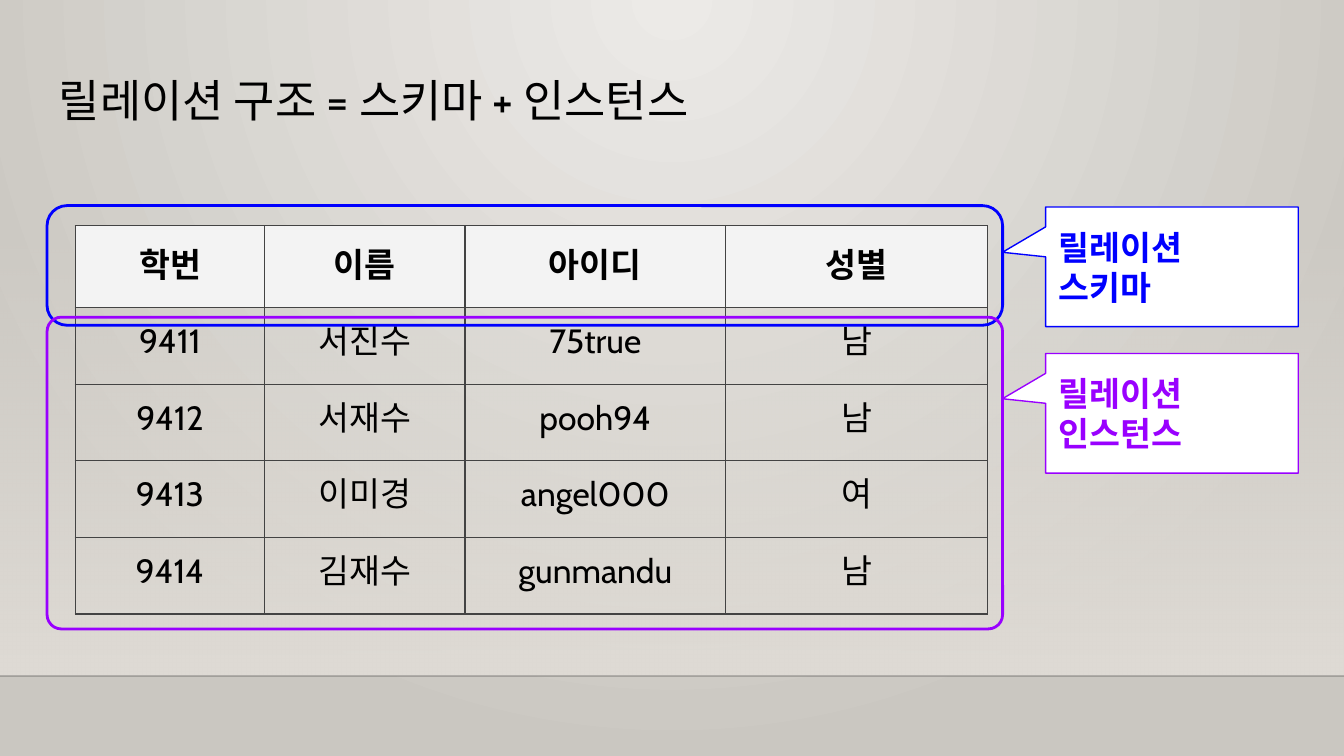
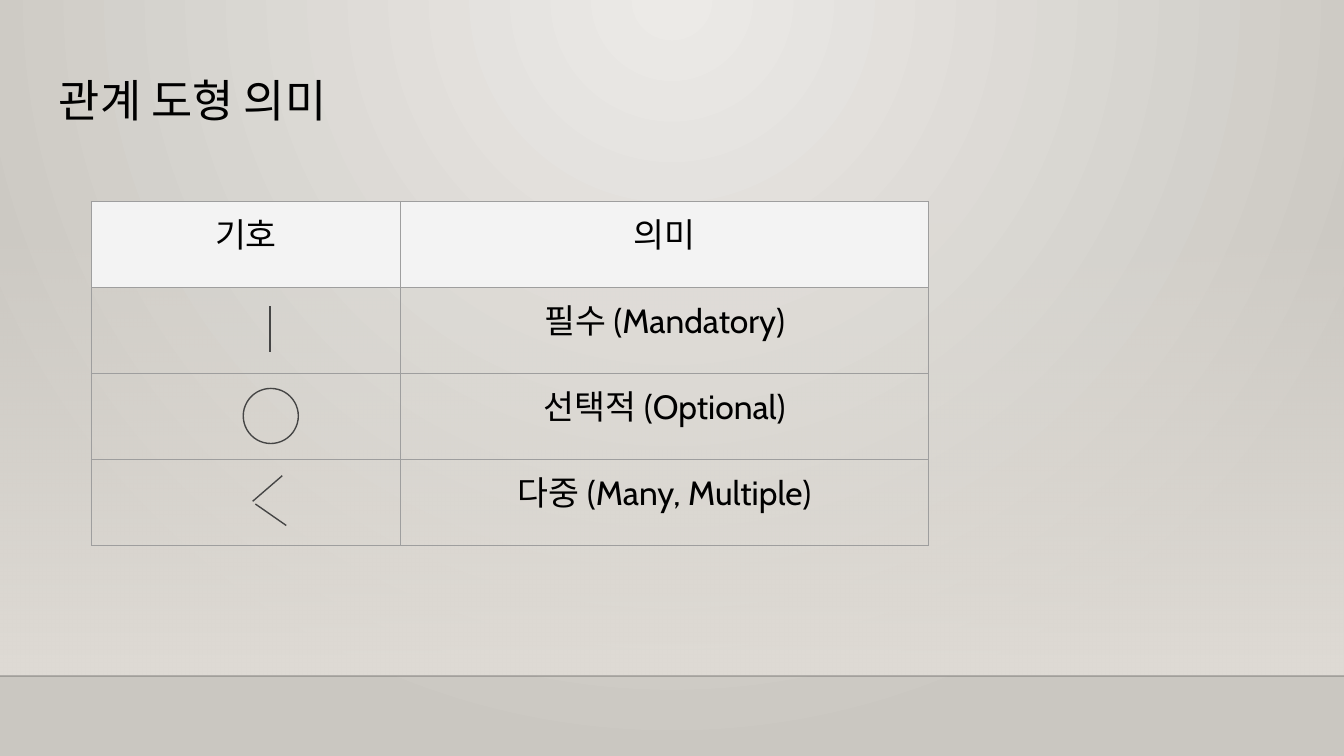
from lxml.etree import SubElement
from pptx import Presentation
from pptx.dml.color import RGBColor
from pptx.enum.shapes import MSO_CONNECTOR as CONN, MSO_SHAPE as SHAPE
from pptx.enum.text import MSO_ANCHOR as ANCHOR, PP_ALIGN as ALIGN
from pptx.oxml import parse_xml
from pptx.oxml.ns import nsdecls, qn
from pptx.util import Inches, Pt

COLORS = {
    "bg_light": "ECEAE7", "bg_dark": "CAC7C1", "wall": "DFDBD5",
    "floor_line": "000001", "text": "000000", "white": "FFFFFF",
    "header": "F3F3F3", "grid_dark": "434343", "grid_light": "9E9E9E",
    "symbol": "454545", "schema": "0000FF", "instance": "9900FF",
}
SPOTLIGHT = ('<a:path path="circle">'
             '<a:fillToRect l="43000" t="0" r="43000" b="100000"/></a:path>')
DOWNWARD = '<a:lin ang="5400000" scaled="0"/>'


def rgb(name):
    return RGBColor.from_string(COLORS[name])


def set_gradient(parent, stops, direction):
    """Swap the solid fill in parent for a gradient of (position, colour, alpha) stops."""
    marks = "".join(
        f'<a:gs pos="{pos * 1000}"><a:srgbClr val="{COLORS[color]}">'
        f'<a:alpha val="{alpha * 1000}"/></a:srgbClr></a:gs>'
        for pos, color, alpha in stops)
    solid = parent.find(qn("a:solidFill"))
    parent.replace(solid, parse_xml(
        f'<a:gradFill {nsdecls("a")} rotWithShape="1">'
        f'<a:gsLst>{marks}</a:gsLst>{direction}</a:gradFill>'))


class Deck:
    font = "Cabin"
    inset = Inches(0.1)

    def __init__(self):
        self.prs = Presentation()
        self.prs.slide_width = Inches(10)
        self.prs.slide_height = Inches(10) * 9 // 16
        self.s = None

    def slide(self, title):
        self.s = self.prs.slides.add_slide(self.prs.slide_layouts[6])
        # Background, wall and floor line
        self.s.background.fill.solid()
        bg = self.s._element.find(".//" + qn("p:bgPr"))
        set_gradient(bg, [(0, "bg_light", 100), (100, "bg_dark", 100)], SPOTLIGHT)
        wall = self.shape(SHAPE.RECTANGLE, (0, 1.66, 10, 3.37), fill="wall")
        set_gradient(wall._element.spPr, [(0, "wall", 0), (100, "wall", 100)], DOWNWARD)
        self.line((0, 5.03), (10, 5.03), "floor_line", 1, alpha=20)
        # Title
        sp = self.s.shapes.add_textbox(*map(Inches, (0.34, 0.49, 9.32, 0.77)))
        self.text(sp.text_frame, [title], size=24, spacing=0.9)

    def text(self, tf, lines, size=18, color="text", bold=False,
             align=ALIGN.LEFT, spacing=None, anchor=ANCHOR.TOP):
        frame = {"word_wrap": True, "vertical_anchor": anchor}
        frame.update({f"margin_{side}": self.inset
                      for side in ("left", "top", "right", "bottom")})
        for key, value in frame.items():
            setattr(tf, key, value)
        for i, line in enumerate(lines):
            p = tf.add_paragraph() if i else tf.paragraphs[0]
            p.alignment, p.line_spacing = align, spacing
            r = p.add_run()
            r.text = line
            style = {"name": self.font, "size": Pt(size), "bold": bold}
            for key, value in style.items():
                setattr(r.font, key, value)
            r.font.color.rgb = rgb(color)
            for script in ("a:ea", "a:cs"):
                SubElement(r._r.get_or_add_rPr(), qn(script), typeface=self.font)

    def shape(self, kind, box, fill=None, line=None, width=0.75, adjust=()):
        sp = self.s.shapes.add_shape(kind, *map(Inches, box))
        sp.shadow.inherit = False
        for i, value in enumerate(adjust):
            sp.adjustments[i] = value
        for part, color in ((sp.fill, fill), (sp.line.fill, line)):
            if color:
                part.solid()
                part.fore_color.rgb = rgb(color)
            else:
                part.background()
        if line:
            sp.line.width = Pt(width)
        return sp

    def callout(self, box, lines, color):
        sp = self.shape(SHAPE.RECTANGULAR_CALLOUT, box, "white", color,
                        adjust=(-0.671, -0.121))
        self.text(sp.text_frame, lines, color=color, bold=True, anchor=ANCHOR.MIDDLE)

    def line(self, start, end, color, width=0.75, alpha=None):
        ln = self.s.shapes.add_connector(CONN.STRAIGHT, *map(Inches, start + end))
        ln.line.color.rgb = rgb(color)
        ln.line.width = Pt(width)
        spPr = ln._element.spPr
        if alpha is not None:
            clr = spPr.find(".//" + qn("a:srgbClr"))
            SubElement(clr, qn("a:alpha"), val=str(alpha * 1000))
        SubElement(spPr, qn("a:effectLst"))

    def table(self, left, top, widths, heights, rows, border, header):
        tbl = self.s.shapes.add_table(
            len(rows), len(widths), Inches(left), Inches(top),
            Inches(sum(widths)), Inches(sum(heights))).table
        tbl.first_row = tbl.horz_banding = False
        for col, width in zip(tbl.columns, widths):
            col.width = Inches(width)
        for i, (row, height) in enumerate(zip(rows, heights)):
            tbl.rows[i].height = Inches(height)
            for j, value in enumerate(row):
                cell = tbl.cell(i, j)
                self.borders(cell, border)
                if i == 0:
                    cell.fill.solid()
                    cell.fill.fore_color.rgb = rgb("header")
                else:
                    cell.fill.background()
                if value:
                    style = header if i == 0 else {}
                    self.text(cell.text_frame, [value], align=ALIGN.CENTER, **style)
                    for side in ("left", "top", "right", "bottom"):
                        setattr(cell, f"margin_{side}", self.inset)

    def borders(self, cell, color):
        tcPr = cell._tc.get_or_add_tcPr()
        for side in "LRTB":
            tcPr.append(parse_xml(
                f'<a:ln{side} {nsdecls("a")} w="{Pt(0.75)}"><a:solidFill>'
                f'<a:srgbClr val="{COLORS[color]}"/></a:solidFill></a:ln{side}>'))


def relation_structure(deck):
    deck.slide("릴레이션 구조 = 스키마 + 인스턴스")
    deck.table(0.56, 1.68, [1.41, 1.49, 1.94, 1.95], [0.61] + [0.57] * 4, [
        ("학번", "이름", "아이디", "성별"),
        ("9411", "서진수", "75true", "남"),
        ("9412", "서재수", "pooh94", "남"),
        ("9413", "이미경", "angel000", "여"),
        ("9414", "김재수", "gunmandu", "남"),
    ], "grid_dark", {"bold": True, "spacing": 1.15})
    # Outlines around the header and the data rows, each with its callout
    for color, top, height, corner, call_top, word in (
            ("schema", 1.53, 0.89, 0.167, 1.54, "스키마"),
            ("instance", 2.36, 2.32, 0.046, 2.63, "인스턴스")):
        deck.shape(SHAPE.ROUNDED_RECTANGLE, (0.35, top, 7.11, height),
                   line=color, width=1.5, adjust=[corner])
        deck.callout((7.78, call_top, 1.88, 0.89), ["릴레이션", word], color)


def relationship_symbols(deck):
    deck.slide("관계 도형 의미")
    deck.table(0.68, 1.5, [2.3, 3.93], [0.64] * 4, [
        ("기호", "의미"),
        ("", "필수 (Mandatory)"),
        ("", "선택적 (Optional)"),
        ("", "다중 (Many, Multiple)"),
    ], "grid_light", {})
    # Bar, circle and crow's foot
    bar, *foot = (((2.01, 2.28), (2.01, 2.62)),
                  ((2.1, 3.54), (1.88, 3.73)),
                  ((2.13, 3.91), (1.9, 3.75)))
    deck.line(*bar, "symbol")
    deck.shape(SHAPE.OVAL, (1.81, 2.89, 0.41, 0.41), line="symbol")
    for start, end in foot:
        deck.line(start, end, "symbol")


def main():
    deck = Deck()
    relation_structure(deck)
    relationship_symbols(deck)
    deck.prs.save("out.pptx")


if __name__ == "__main__":
    main()
